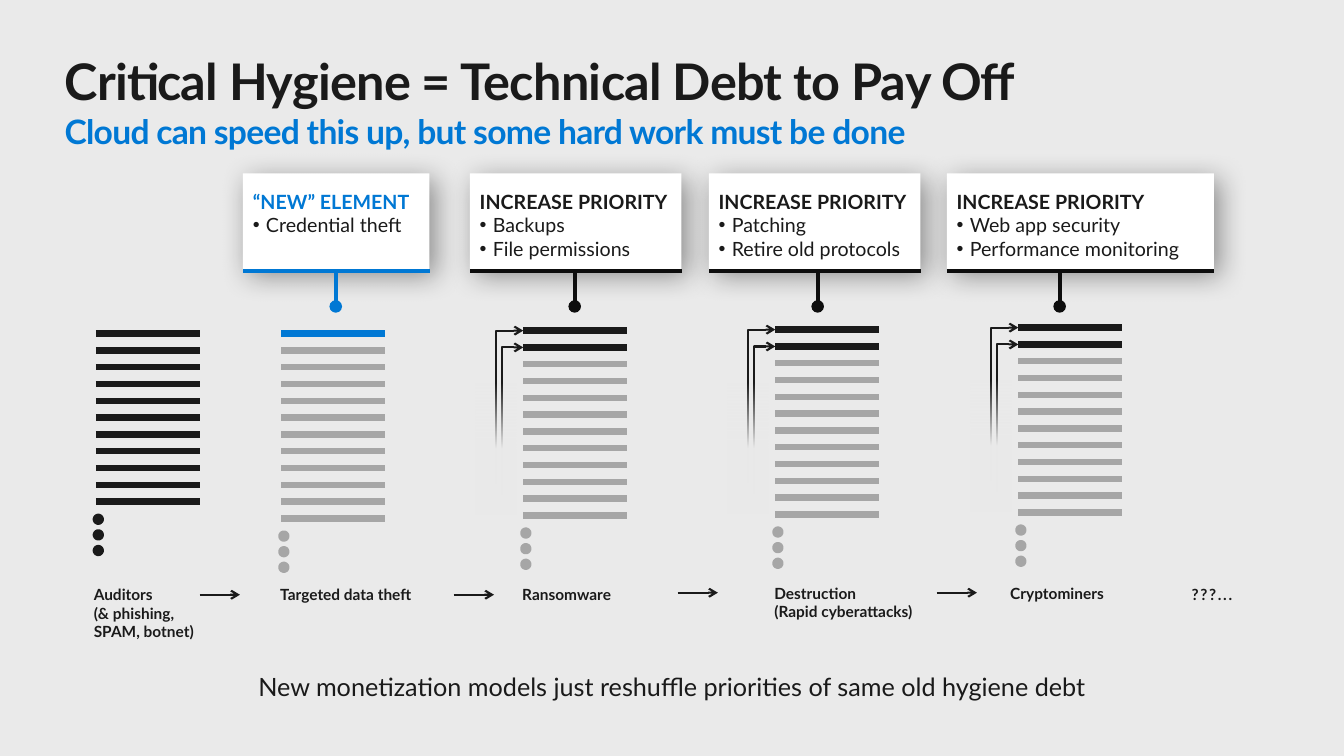
from dataclasses import dataclass
from typing import NamedTuple

from lxml import etree
from pptx import Presentation
from pptx.dml.color import RGBColor
from pptx.enum.shapes import MSO_CONNECTOR, MSO_SHAPE
from pptx.enum.text import MSO_ANCHOR, MSO_AUTO_SIZE, PP_ALIGN
from pptx.oxml.ns import qn
from pptx.util import Inches, Pt

STRAIGHT, ELBOW = MSO_CONNECTOR.STRAIGHT, MSO_CONNECTOR.ELBOW
RECTANGLE, OVAL = MSO_SHAPE.RECTANGLE, MSO_SHAPE.OVAL
TOP, MIDDLE = MSO_ANCHOR.TOP, MSO_ANCHOR.MIDDLE
LEFT, CENTER = PP_ALIGN.LEFT, PP_ALIGN.CENTER
FIT_TEXT = MSO_AUTO_SIZE.SHAPE_TO_FIT_TEXT


@dataclass(frozen=True)
class Theme:
    font: str = "Lato"
    background: RGBColor = RGBColor(0xEA, 0xEA, 0xEA)
    card: RGBColor = RGBColor(0xFF, 0xFF, 0xFF)
    dark: RGBColor = RGBColor(0x1A, 0x1A, 0x1A)
    black: RGBColor = RGBColor(0x0D, 0x0D, 0x0D)
    gray: RGBColor = RGBColor(0xA6, 0xA6, 0xA6)
    blue: RGBColor = RGBColor(0x00, 0x78, 0xD4)
    title: float = 36
    subtitle: float = 24
    summary: float = 18
    card_text: float = 14
    label: float = 11
    bar: float = 4.5
    stem: float = 3
    arrow: float = 1.5


THEME = Theme()
BAR_WIDTH, BAR_PITCH = 1.03, 1 / 6
DOT_SIZE, DOT_GAP, DOT_PITCH = 0.05, 0.15, 0.155
CARD_TOP, CARD_HEIGHT, STEM_END = 1.72, 0.96, 3.04
FLOW_LENGTH = 0.4
LABEL_INSETS = (0.2, 0.16)
CARD_INSETS = (0.1, 0.16)


class Box(NamedTuple):
    left: float
    top: float
    width: float
    height: float


class Words(NamedTuple):
    text: str
    size: float
    color: RGBColor = THEME.dark
    bold: bool = False
    spacing: int = 0


class Stack(NamedTuple):
    left: float
    top: float
    count: int
    color: RGBColor
    raised: int = 0
    raised_color: RGBColor = THEME.dark


class Card(NamedTuple):
    left: float
    width: float
    stem: float
    heading: str
    items: list[str]
    heading_color: RGBColor = THEME.dark
    line_color: RGBColor = THEME.black


class Label(NamedTuple):
    box: Box
    paragraphs: list[str]
    align: PP_ALIGN = LEFT
    spacing: int = 0


class Point(NamedTuple):
    x: float
    y: float


STACKS = [
    Stack(0.95, 3.31, 11, THEME.dark),
    Stack(2.79, 3.31, 12, THEME.gray, 1, THEME.blue),
    Stack(5.19, 3.28, 12, THEME.gray, 2),
    Stack(7.69, 3.27, 12, THEME.gray, 2),
    Stack(10.1, 3.25, 12, THEME.gray, 2),
]
CARDS = [
    Card(2.41, 1.85, 3.33, "“NEW” ELEMENT", ["Credential theft"], THEME.blue, THEME.blue),
    Card(4.66, 2.1, 5.7, "INCREASE PRIORITY", ["Backups", "File permissions"]),
    Card(7.03, 2.1, 8.11, "INCREASE PRIORITY", ["Patching", "Retire old protocols"]),
    Card(9.39, 2.65, 10.51, "INCREASE PRIORITY", ["Web app security", "Performance monitoring"]),
]
LABELS = [
    Label(Box(0.73, 5.64, 1.45, 0.88), ["Auditors\n(& phishing, SPAM, botnet)"]),
    Label(Box(2.58, 5.64, 2.47, 0.51), ["Targeted data theft"]),
    Label(Box(4.98, 5.64, 1.74, 0.51), ["Ransomware"]),
    Label(Box(7.48, 5.63, 2.51, 0.69), ["Destruction", "(Rapid cyberattacks)"]),
    Label(Box(9.82, 5.63, 2.47, 0.51), ["Cryptominers"]),
    Label(Box(11.13, 5.64, 1.78, 0.51), ["???..."], CENTER, 120),
]
FLOW_ARROWS = [Point(1.98, 5.9), Point(4.5, 5.9), Point(6.72, 5.88), Point(9.29, 5.88)]


def apply_format(target, values: dict) -> None:
    for name, value in values.items():
        setattr(target, name, value)


def add_child(parent, tag: str, **attributes: str):
    return etree.SubElement(parent, qn(tag), attributes)


def write_text(shape, paragraphs: list[list[Words]], insets=(0, 0), anchor=TOP, align=LEFT, wrap=True) -> None:
    frame = shape.text_frame
    side, edge = Inches(insets[0]), Inches(insets[1])
    apply_format(frame, {"word_wrap": wrap, "vertical_anchor": anchor, "margin_left": side,
                         "margin_right": side, "margin_top": edge, "margin_bottom": edge})
    for index, pieces in enumerate(paragraphs):
        paragraph = frame.add_paragraph() if index else frame.paragraphs[0]
        paragraph.alignment = align
        for words in pieces:
            for number, line in enumerate(words.text.split("\n")):
                if number:
                    paragraph.add_line_break()
                if line:
                    run = paragraph.add_run()
                    run.text = line
                    apply_format(run.font, {"name": THEME.font, "size": Pt(words.size), "bold": words.bold})
                    run.font.color.rgb = words.color
                    if words.spacing:
                        run.font._element.set("spc", str(words.spacing))


def add_text(slide, box: Box, paragraphs: list[list[Words]], **options) -> None:
    shape = slide.shapes.add_textbox(*map(Inches, box))
    write_text(shape, paragraphs, **options)
    shape.text_frame.auto_size = FIT_TEXT


def add_plain_shape(slide, kind: MSO_SHAPE, box: Box, color: RGBColor):
    shape = slide.shapes.add_shape(kind, *map(Inches, box))
    shape.shadow.inherit = False
    shape.fill.solid()
    shape.fill.fore_color.rgb = color
    shape.line.fill.background()
    return shape


def add_line(slide, start: Point, end: Point, color: RGBColor, width: float, tail: str = "", kind=STRAIGHT):
    line = slide.shapes.add_connector(kind, *map(Inches, (*start, *end)))
    line.line.color.rgb = color
    line.line.width = Pt(width)
    if tail:
        add_child(line.line._get_or_add_ln(), "a:tailEnd", type=tail)
    add_child(line._element.spPr, "a:effectLst")
    return line


def add_raise_arrow(slide, tip: Point, run: float, rise: float) -> None:
    center = Point(tip.x - run / 2, tip.y + rise / 2)
    start = Point(center.x - rise / 2, center.y - run / 2)
    end = Point(center.x + rise / 2, center.y + run / 2)
    arrow = add_line(slide, start, end, THEME.dark, THEME.arrow, "arrow", ELBOW)
    properties = arrow._element.spPr
    properties.find(qn("a:xfrm")).set("rot", str(270 * 60000))
    properties.find(qn("a:prstGeom")).set("prst", "bentConnector2")


def add_fade(slide, box: Box) -> None:
    fade = add_plain_shape(slide, RECTANGLE, box, THEME.background)
    fade.fill.gradient()
    fade.fill.gradient_angle = 270
    for stop, position in zip(fade.fill.gradient_stops, (0, 0.5)):
        stop.color.rgb = THEME.background
        stop.position = position
    add_child(next(fade._element.spPr.iter(qn("a:srgbClr"))), "a:alpha", val="0")


def add_stack(slide, stack: Stack) -> None:
    if stack.raised > 1:
        add_raise_arrow(slide, Point(stack.left, stack.top), 0.27, 1.52)
        add_raise_arrow(slide, Point(stack.left, stack.top + BAR_PITCH), 0.21, 1.46)
        add_fade(slide, Box(stack.left - 0.47, stack.top + 0.53, 0.4, 1.29))
    for index in range(stack.count):
        y = stack.top + index * BAR_PITCH
        color = stack.raised_color if index < stack.raised else stack.color
        add_line(slide, Point(stack.left, y), Point(stack.left + BAR_WIDTH, y), color, THEME.bar)
    dots_top = stack.top + (stack.count - 1) * BAR_PITCH + DOT_GAP
    for index in range(3):
        box = Box(stack.left, dots_top + index * DOT_PITCH, DOT_SIZE, DOT_SIZE)
        dot = add_plain_shape(slide, OVAL, box, stack.color)
        dot.line.color.rgb = stack.color
        dot.line.width = Pt(THEME.bar)


def add_card(slide, card: Card) -> None:
    shape = add_plain_shape(slide, RECTANGLE, Box(card.left, CARD_TOP, card.width, CARD_HEIGHT), THEME.card)
    effects = shape._element.spPr.find(qn("a:effectLst"))
    shadow = add_child(effects, "a:outerShdw", blurRad=str(Pt(20)), dist=str(Pt(6)), dir=str(45 * 60000),
                       algn="tl", rotWithShape="0")
    add_child(add_child(shadow, "a:srgbClr", val="000000"), "a:alpha", val="40000")
    heading = Words(card.heading, THEME.card_text, card.heading_color, True)
    items = [[Words(item, THEME.card_text)] for item in card.items]
    write_text(shape, [[heading], *items], insets=CARD_INSETS)
    for paragraph in shape.text_frame.paragraphs[1:]:
        properties = paragraph._p.get_or_add_pPr()
        properties.set("marL", str(Inches(0.13)))
        properties.set("indent", str(-Inches(0.13)))
        add_child(properties, "a:buFont", typeface="Arial")
        add_child(properties, "a:buChar", char="•")
    base = CARD_TOP + CARD_HEIGHT + 0.01
    add_line(slide, Point(card.left, base), Point(card.left + card.width, base), card.line_color, THEME.stem)
    add_line(slide, Point(card.stem, base), Point(card.stem, STEM_END), card.line_color, THEME.stem, "oval")


def main() -> None:
    presentation = Presentation()
    apply_format(presentation, {"slide_width": Inches(13.33), "slide_height": Inches(7.5)})
    slide = presentation.slides.add_slide(presentation.slide_layouts[6])
    slide.background.fill.solid()
    slide.background.fill.fore_color.rgb = THEME.background
    title = Words("Critical Hygiene = Technical Debt to Pay Off\n", THEME.title, THEME.dark, True, -50)
    subtitle = Words("Cloud can speed this up, but some hard work must be done", THEME.subtitle, THEME.blue, True, -50)
    add_text(slide, Box(0.64, 0.5, 12.05, 1.01), [[title, subtitle]])
    for label in LABELS:
        paragraphs = [[Words(text, THEME.label, bold=True, spacing=label.spacing)] for text in label.paragraphs]
        add_text(slide, label.box, paragraphs, insets=LABEL_INSETS, anchor=MIDDLE, align=label.align)
    for stack in STACKS:
        add_stack(slide, stack)
    for start in FLOW_ARROWS:
        add_line(slide, start, Point(start.x + FLOW_LENGTH, start.y), THEME.dark, THEME.arrow, "arrow")
    summary = Words("New monetization models just reshuffle priorities of same old hygiene debt", THEME.summary)
    add_text(slide, Box(2.33, 6.66, 8.67, 0.3), [[summary]], align=CENTER, wrap=False)
    for card in CARDS:
        add_card(slide, card)
    presentation.save("out.pptx")


if __name__ == "__main__":
    main()
